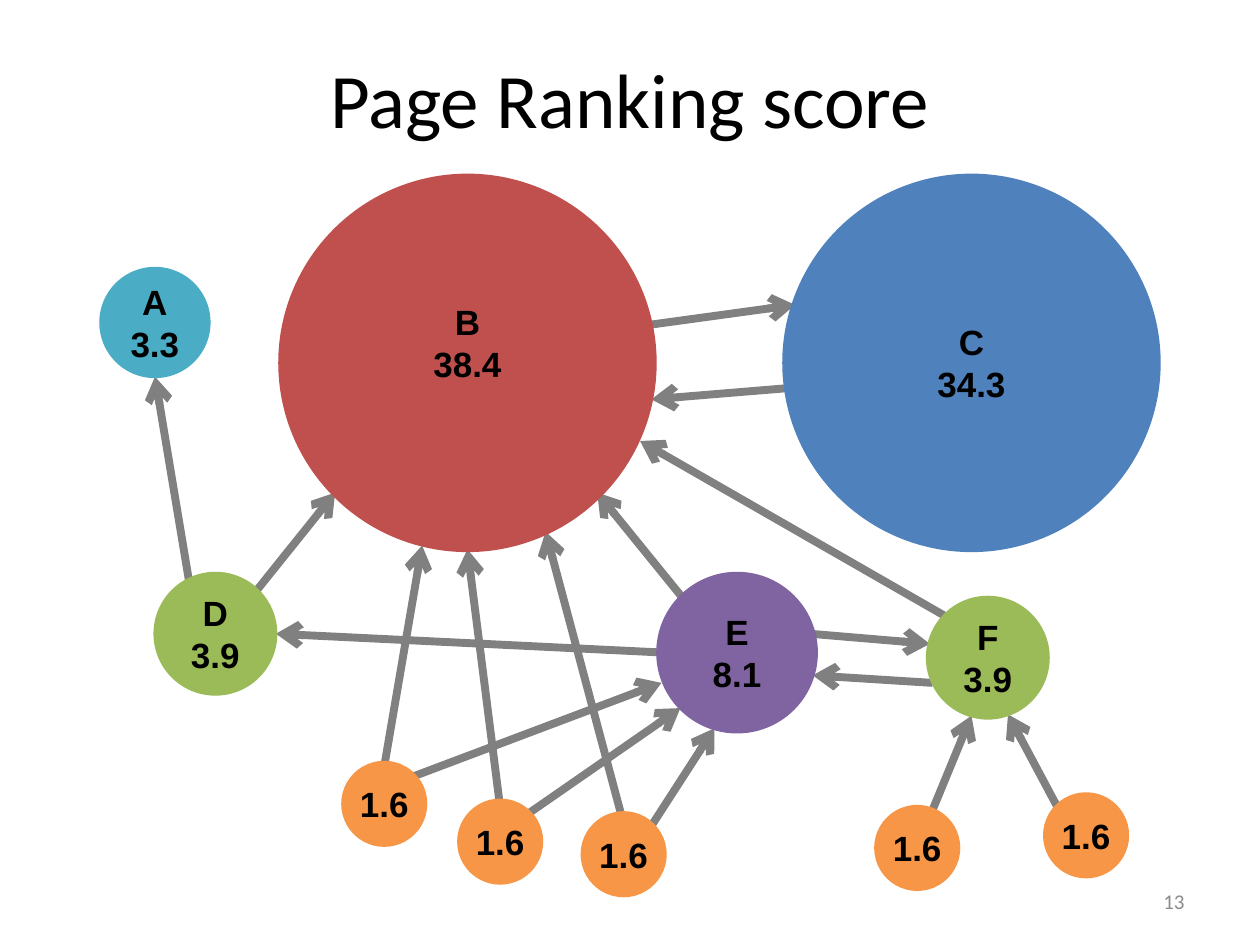
from dataclasses import dataclass
from lxml.etree import SubElement as Sub
from pptx import Presentation
from pptx.dml.color import RGBColor as Color
from pptx.enum.shapes import MSO_CONNECTOR as Link, MSO_SHAPE as Form
from pptx.enum.text import MSO_ANCHOR as Anchor, PP_ALIGN as Align
from pptx.oxml.ns import qn
from pptx.util import Pt

PX = 9144


@dataclass(frozen=True)
class Theme:
    ink: str = "000000"
    mute: str = "8B8B8B"
    edge: str = "808080"
    red: str = "C0504D"
    blue: str = "4F81BD"
    plum: str = "8064A2"
    green: str = "9BBB59"
    teal: str = "4BACC6"
    gold: str = "F79646"
    head: str = "Calibri"
    body: str = "Arial"
    big: int = 44
    mid: int = 20
    small: int = 12
    rim: float = 6
    stem: float = 4.5


LOOK = Theme()

NODES = [
    ("B", "38.4", 145, 2, 292, LOOK.red, 32),
    ("C", "34.3", 545, 2, 292, LOOK.blue, 0),
    ("E", "8.1", 445, 318, 120, LOOK.plum, 0),
    ("F", "3.9", 659, 337, 90, LOOK.green, 0),
    ("D", "3.9", 46, 318, 90, LOOK.green, 0),
    ("A", "3.3", 3, 76, 80, LOOK.teal, 0),
]
LEAVES = [(195, 468), (287, 498), (385, 508), (618, 503), (752, 493)]
EDGES = [
    (434, 118, 551, 102), (546, 168, 437, 177), (463, 336, 394, 251),
    (121, 332, 186, 251), (70, 321, 43, 159), (225, 468, 255, 293),
    (246, 477, 445, 402), (448, 378, 139, 363), (317, 501, 291, 296),
    (336, 508, 460, 422), (436, 517, 487, 438), (415, 514, 353, 282),
    (658, 508, 691, 428), (760, 502, 720, 427), (672, 350, 428, 210),
    (660, 402, 565, 396), (563, 363, 658, 371),
]


def apply(item, form):
    for key, value in form.items():
        setattr(item, key, value)


def place(shape, box):
    keys = ("left", "top", "width", "height")
    apply(shape, dict(zip(keys, (n * PX for n in box))))


def write(shape, lines, face, size, tint, align, bold=False):
    frame = shape.text_frame
    frame.text = "\n".join(lines)
    frame.vertical_anchor = Anchor.MIDDLE
    for para in frame.paragraphs:
        para.alignment = align
        font = para.runs[0].font
        apply(font, {"name": face, "size": Pt(size), "bold": bold})
        font.color.rgb = Color.from_string(tint)


def title(slide, box, text):
    shape = slide.shapes.title
    place(shape, box)
    write(shape, [text], LOOK.head, LOOK.big, LOOK.ink, Align.CENTER)


def folio(slide, box, text):
    shape = slide.shapes.add_textbox(*(n * PX for n in box))
    shape.text_frame.word_wrap = True
    write(shape, [text], LOOK.head, LOOK.small, LOOK.mute, Align.RIGHT)


def arrow(slide, ends):
    link = slide.shapes.add_connector(Link.STRAIGHT, *(n * PX for n in ends))
    link.line.color.rgb = Color.from_string(LOOK.edge)
    link.line.width = Pt(LOOK.stem)
    Sub(link.line._get_or_add_ln(), qn("a:tailEnd"), type="arrow")
    Sub(link._element.spPr, qn("a:effectLst"))


def disc(slide, box, lines, tint, lift=0):
    shape = slide.shapes.add_shape(Form.OVAL, *(n * PX for n in box))
    shape.shadow.inherit = False
    shape.fill.solid()
    shape.fill.fore_color.rgb = Color.from_string(tint)
    shape.line.color.rgb = Color.from_string(tint)
    shape.line.width = Pt(LOOK.rim)
    apply(shape.text_frame, {
        "margin_left": 0, "margin_right": 0, "margin_top": 0,
        "margin_bottom": lift * PX, "word_wrap": False,
    })
    write(shape, lines, LOOK.body, LOOK.mid, LOOK.ink, Align.CENTER, True)


def graph(slide, box):
    left, top = box[:2]
    for x, y, u, v in EDGES:
        arrow(slide, (left + x, top + y, left + u, top + v))
    for name, score, x, y, size, tint, lift in NODES:
        spot = (left + x, top + y, size, size)
        disc(slide, spot, [name, score], tint, lift)
    for x, y in LEAVES:
        disc(slide, (left + x, top + y, 60, 60), ["1.6"], LOOK.gold)


def main():
    deck = Presentation()
    apply(deck, {"slide_width": 1000 * PX, "slide_height": 750 * PX})
    slide = deck.slides.add_slide(deck.slide_layouts[5])
    title(slide, (50, 30, 900, 95), "Page Ranking score")
    folio(slide, (717, 695, 233, 40), "13")
    graph(slide, (80, 140, 840, 570))
    deck.save("out.pptx")


if __name__ == "__main__":
    main()
